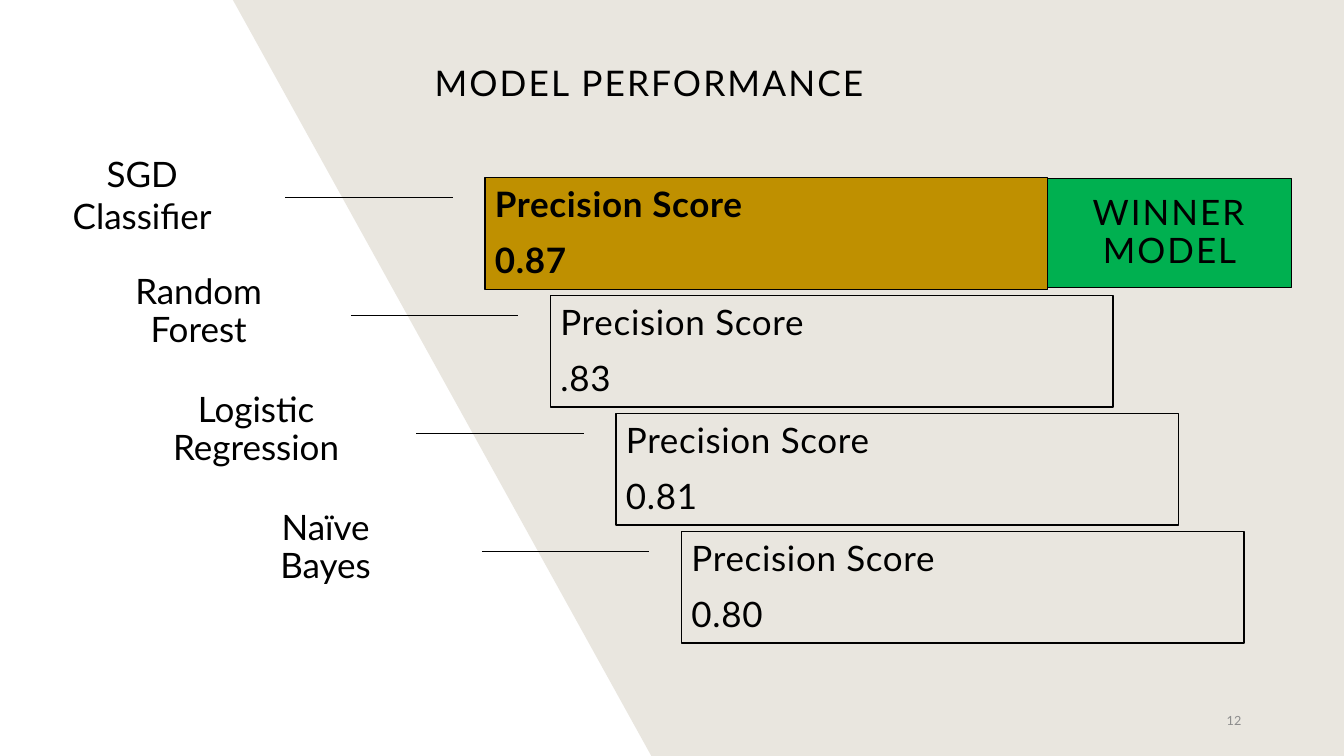
import pptx
import pptx.util
import pptx.dml.color
import pptx.enum.shapes
import pptx.enum.text
import pptx.oxml
import pptx.oxml.ns

TITLE = "MODEL PERFORMANCE"
WINNER = "WINNER MODEL"
PAGE = "12"
METRIC = "Precision Score"
MODELS = [
    {"name": "SGD Classifier", "score": "0.87", "left": 0.36, "width": 2.1, "spacing": 1.0},
    {"name": "Random Forest", "score": ".83", "left": 0.8, "width": 2.34, "spacing": 0.9},
    {"name": "Logistic Regression", "score": "0.81", "left": 1.28, "width": 2.52, "spacing": 0.9},
    {"name": "Naïve Bayes", "score": "0.80", "left": 2.31, "width": 1.84, "spacing": 0.9},
]
COLORS = {"ink": "000000", "sand": "E9E6DF", "gold": "BF9000", "green": "00B050", "gray": "8C8C8C"}
FONT = "Lato"
SLIDE_W, SLIDE_H = 13.33, 7.5
STEP_X, STEP_Y = 0.65, 1.17
BAR_LEFT, BAR_TOP, BAR_W, BAR_H = 4.81, 1.76, 5.58, 1.11
LABEL_TOP, LABEL_H = 1.65, 0.56
RULE_LEFT, RULE_TOP, RULE_W = 2.83, 1.96, 1.66

Inches = pptx.util.Inches
Pt = pptx.util.Pt
Align = pptx.enum.text.PP_ALIGN
Anchor = pptx.enum.text.MSO_ANCHOR


def color(name):
    return pptx.dml.color.RGBColor.from_string(COLORS[name])


def box(left, top, width, height):
    return [Inches(value) for value in (left, top, width, height)]


def write(shape, lines, size=25, align=Align.LEFT, anchor=Anchor.MIDDLE,
          spacing=1.0, tracking=0, bold=False, ink="ink"):
    frame = shape.text_frame
    frame.text = "\n".join(lines)
    frame.word_wrap = True
    frame.auto_size = pptx.enum.text.MSO_AUTO_SIZE.NONE
    frame.vertical_anchor = anchor
    for index, paragraph in enumerate(frame.paragraphs):
        paragraph.alignment = align
        paragraph.line_spacing = spacing
        paragraph.space_before = Pt(10 if index else 0)
        for run in paragraph.runs:
            run.font.name = FONT
            run.font.size = Pt(size)
            run.font.bold = bold
            run.font.color.rgb = color(ink)
            if tracking:
                run._r.get_or_add_rPr().set("spc", str(int(tracking * 100)))


def add_bar(slide, place, fill):
    bar = slide.shapes.add_shape(pptx.enum.shapes.MSO_SHAPE.RECTANGLE, *box(*place))
    bar.shadow.inherit = False
    if fill:
        bar.fill.solid()
        bar.fill.fore_color.rgb = color(fill)
    else:
        bar.fill.background()
    bar.line.color.rgb = color("ink")
    bar.line.width = Pt(1)
    return bar


def add_backdrop(slide):
    builder = slide.shapes.build_freeform(Inches(6.46), Inches(SLIDE_H))
    corners = [(2.31, 0), (SLIDE_W, 0), (SLIDE_W, SLIDE_H)]
    builder.add_line_segments([(Inches(x), Inches(y)) for x, y in corners], close=True)
    backdrop = builder.convert_to_shape()
    backdrop.shadow.inherit = False
    backdrop.fill.solid()
    backdrop.fill.fore_color.rgb = color("sand")
    backdrop.line.fill.background()
    slide.shapes.title.element.addprevious(backdrop.element)


def add_rule(slide, left, top):
    rule = slide.shapes.add_connector(
        pptx.enum.shapes.MSO_CONNECTOR.STRAIGHT,
        Inches(left), Inches(top), Inches(left + RULE_W), Inches(top))
    rule.line.color.rgb = color("ink")
    rule.line.width = Pt(0.5)
    rule.element.spPr.append(pptx.oxml.parse_xml(
        "<a:effectLst %s/>" % pptx.oxml.ns.nsdecls("a")))


def add_model(slide, index, model):
    dx, dy = index * STEP_X, index * STEP_Y
    best = index == 0
    add_rule(slide, RULE_LEFT + dx, RULE_TOP + dy)
    label = slide.shapes.add_textbox(*box(model["left"], LABEL_TOP + dy, model["width"], LABEL_H))
    write(label, [model["name"]], align=Align.CENTER, spacing=model["spacing"])
    bar = add_bar(slide, (BAR_LEFT + dx, BAR_TOP + dy, BAR_W, BAR_H), "gold" if best else None)
    write(bar, [METRIC, model["score"]], anchor=Anchor.TOP, tracking=0.5, bold=best)


def main():
    deck = pptx.Presentation()
    deck.slide_width, deck.slide_height = Inches(SLIDE_W), Inches(SLIDE_H)
    slide = deck.slides.add_slide(deck.slide_layouts[5])

    title = slide.shapes.title
    title.left, title.top, title.width, title.height = box(4.21, 0.52, 4.46, 0.64)
    write(title, [TITLE], size=25.2, spacing=0.9, tracking=1.5)
    title.text_frame.margin_right = 0
    add_backdrop(slide)

    for index, model in enumerate(MODELS):
        add_model(slide, index, model)

    page = slide.shapes.add_textbox(*box(11.82, 6.95, 0.59, 0.4))
    write(page, [PAGE], size=9, align=Align.RIGHT, ink="gray")

    winner = add_bar(slide, (BAR_LEFT + BAR_W, 1.77, 2.42, 1.08), "green")
    write(winner, [WINNER], align=Align.CENTER, spacing=0.9, tracking=1.5)
    deck.save("out.pptx")


if __name__ == "__main__":
    main()
